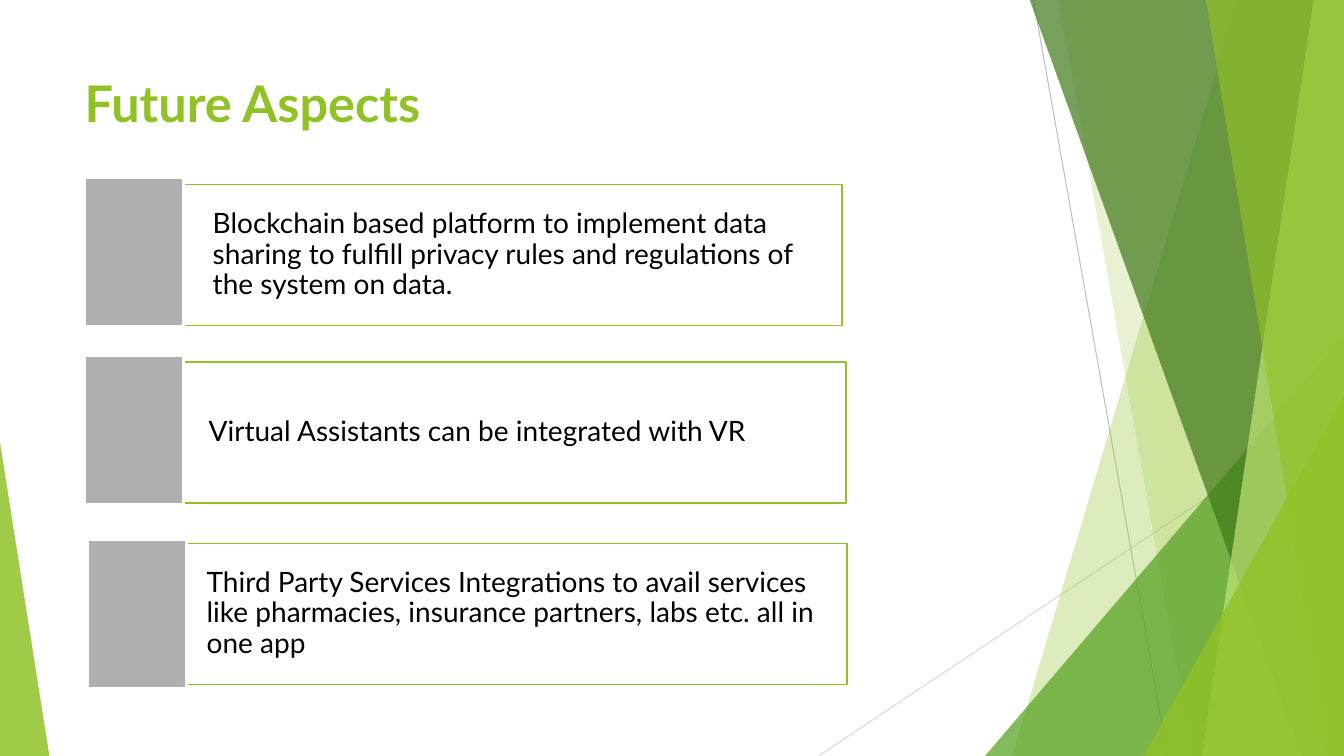
"""Build the Future Aspects slide with its faceted green border."""
from dataclasses import dataclass

from lxml.etree import SubElement
from pptx import Presentation
from pptx.dml.color import RGBColor
from pptx.enum.shapes import MSO_CONNECTOR, MSO_SHAPE
from pptx.enum.text import MSO_ANCHOR, PP_ALIGN
from pptx.oxml.ns import qn
from pptx.shapes.autoshape import Shape
from pptx.shapes.shapetree import SlideShapes
from pptx.text.text import TextFrame
from pptx.util import Inches, Pt

WIDE, HIGH = 13.33, 7.5
GREEN = "90C226"


@dataclass
class Ray:
    start: tuple[float, float]
    end: tuple[float, float]
    color: str


@dataclass
class Facet:
    top: float
    base: float
    color: str
    alpha: int


@dataclass
class Peak:
    left: float
    top: float
    width: float
    lean: float
    color: str
    alpha: int


@dataclass
class Panel:
    left: float
    top: float
    width: float
    tab_left: float
    tab_top: float
    text: str


RAYS = [
    Ray((10.25, 0), (11.58, HIGH), "BFBFBF"),
    Ray((WIDE, 4.03), (8.12, HIGH), "D9D9D9"),
]
BORDER = [
    Facet(12.28, 10.04, GREEN, 30),
    Facet(10.5, 11.83, GREEN, 20),
    Peak(9.77, 3.33, 3.56, 1, "54A021", 72),
    Facet(10.21, 12.91, "3F7819", 70),
    Facet(13.03, 11.92, "C0E474", 70),
    Facet(11.96, 13.18, GREEN, 65),
    Peak(11.34, 3.93, 1.99, 1, GREEN, 80),
    Peak(0, 4.39, 0.49, 0, GREEN, 85),
]
PANELS = [
    Panel(1.16, 1.83, 7.19, 0.84, 1.77,
          "Blockchain based platform to implement data sharing to fulfill "
          "privacy rules and regulations of the system on data."),
    Panel(1.12, 3.59, 7.27, 0.84, 3.53,
          "Virtual Assistants can be integrated with VR"),
    Panel(1.1, 5.39, 7.3, 0.87, 5.36,
          "Third Party Services Integrations to avail services like "
          "pharmacies, insurance partners, labs etc. all in one app"),
]


def shade(code: str) -> RGBColor:
    return RGBColor.from_string(code)


def paint(shape: Shape, color: str, alpha: int = 100) -> None:
    shape.shadow.inherit = False
    shape.fill.solid()
    shape.fill.fore_color.rgb = shade(color)
    shape.line.fill.background()
    if alpha < 100:
        tint = shape._element.spPr.find(qn("a:solidFill"))[0]
        SubElement(tint, qn("a:alpha")).set("val", str(alpha * 1000))


def edge(shape: Shape, color: str, width: float) -> None:
    shape.line.color.rgb = shade(color)
    shape.line.width = Pt(width)


def write(frame: TextFrame, text: str, size: int, color: str, bold: bool = False) -> None:
    frame.word_wrap = True
    frame.text = text
    line = frame.paragraphs[0]
    line.alignment = PP_ALIGN.LEFT
    font = line.runs[0].font
    font.name, font.size, font.bold = "Lato", Pt(size), bold
    font.color.rgb = shade(color)


def draw_ray(shapes: SlideShapes, ray: Ray) -> None:
    ends = [Inches(n) for n in (*ray.start, *ray.end)]
    line = shapes.add_connector(MSO_CONNECTOR.STRAIGHT, *ends)
    line.line.color.rgb = shade(ray.color)
    line.line.width = Pt(0.75)
    SubElement(line._element.spPr, qn("a:effectLst"))


def draw_facet(shapes: SlideShapes, facet: Facet) -> None:
    spots = [(facet.top, -0.01), (WIDE, -0.01), (WIDE, HIGH), (facet.base, HIGH)]
    first, *rest = [(Inches(x), Inches(y)) for x, y in spots]
    builder = shapes.build_freeform(*first)
    builder.add_line_segments(rest, close=True)
    paint(builder.convert_to_shape(), facet.color, facet.alpha)


def draw_peak(shapes: SlideShapes, peak: Peak) -> None:
    shape = shapes.add_shape(
        MSO_SHAPE.ISOSCELES_TRIANGLE, Inches(peak.left), Inches(peak.top),
        Inches(peak.width), Inches(HIGH - peak.top))
    shape.adjustments[0] = peak.lean
    paint(shape, peak.color, peak.alpha)


def draw_panel(shapes: SlideShapes, panel: Panel) -> None:
    box = shapes.add_shape(
        MSO_SHAPE.RECTANGLE, Inches(panel.left), Inches(panel.top),
        Inches(panel.width), Inches(1.4))
    paint(box, "FFFFFF", 40)
    edge(box, GREEN, 1)
    frame = box.text_frame
    frame.margin_left = Inches(0.95)
    frame.margin_top = frame.margin_right = frame.margin_bottom = Inches(0.08)
    frame.vertical_anchor = MSO_ANCHOR.MIDDLE
    write(frame, panel.text, 20, "000000")
    frame.paragraphs[0].line_spacing = 0.9

    tab = shapes.add_shape(
        MSO_SHAPE.RECTANGLE, Inches(panel.tab_left), Inches(panel.tab_top),
        Inches(0.98), Inches(1.47))
    paint(tab, "B0B0B0")
    edge(tab, "FFFFFF", 1.5)


def main() -> None:
    deck = Presentation()
    deck.slide_width, deck.slide_height = Inches(WIDE), Inches(HIGH)
    shapes = deck.slides.add_slide(deck.slide_layouts[6]).shapes
    for ray in RAYS:
        draw_ray(shapes, ray)
    for part in BORDER:
        if isinstance(part, Facet):
            draw_facet(shapes, part)
        else:
            draw_peak(shapes, part)
    title = shapes.add_textbox(Inches(0.74), Inches(0.67), Inches(9.4), Inches(1.44))
    write(title.text_frame, "Future Aspects", 36, GREEN, bold=True)
    for panel in PANELS:
        draw_panel(shapes, panel)
    deck.save("out.pptx")


if __name__ == "__main__":
    main()
